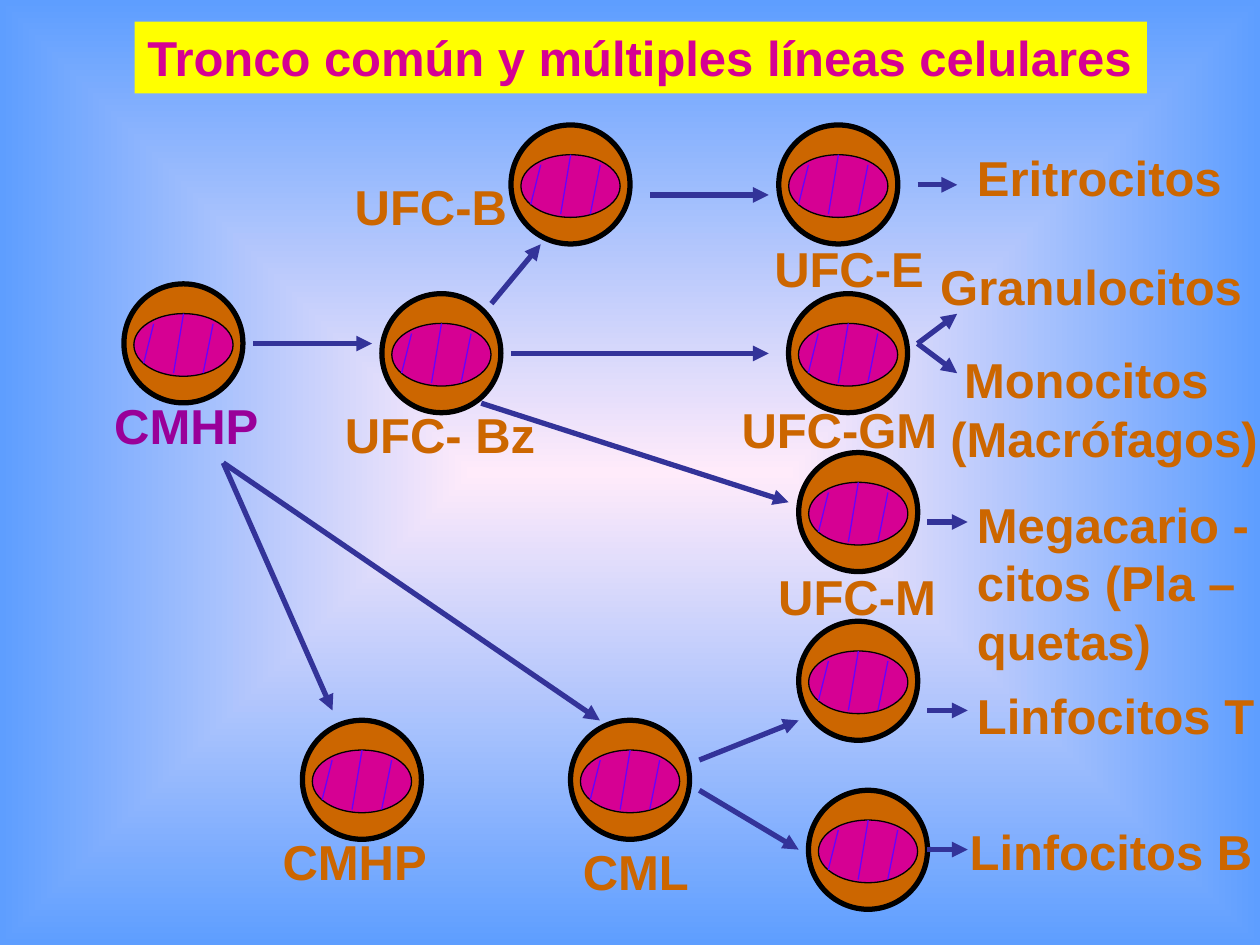
from dataclasses import dataclass

from lxml.etree import SubElement
from pptx import Presentation
from pptx.dml.color import RGBColor
from pptx.enum.shapes import MSO_CONNECTOR, MSO_SHAPE
from pptx.enum.text import MSO_ANCHOR, MSO_AUTO_SIZE, PP_ALIGN
from pptx.oxml.ns import qn
from pptx.util import Pt


@dataclass(frozen=True)
class Theme:
    font: str = "Arial"
    text_size: float = 28
    heavy_line: float = 3
    thin_line: float = 0.75
    center: str = "FFEBFA"
    edge: str = "5E9EFF"
    orange: str = "CC6600"
    magenta: str = "D60093"
    purple: str = "990099"
    yellow: str = "FFFF00"
    black: str = "000000"
    stripe: str = "6600FF"
    arrow: str = "333399"


def color(value):
    return RGBColor.from_string(value)


def write_text(frame, text, *, font, size, fill, bold=True, first_indent=0,
               auto_size=MSO_AUTO_SIZE.SHAPE_TO_FIT_TEXT):
    """Fill a frame, one paragraph a line, indenting only the first line."""
    frame.word_wrap = False
    frame.vertical_anchor = MSO_ANCHOR.TOP
    frame.auto_size = auto_size
    frame.margin_left = frame.margin_right = Pt(7.2)
    frame.margin_top = frame.margin_bottom = Pt(3.6)
    for index, line in enumerate(text.split("\n")):
        para = frame.paragraphs[0] if index == 0 else frame.add_paragraph()
        para.alignment = PP_ALIGN.LEFT
        if index == 0 and first_indent:
            para._p.get_or_add_pPr().set("marL", str(Pt(first_indent)))
        span = para.add_run()
        span.text = line
        span.font.name = font
        span.font.size = Pt(size)
        span.font.bold = bold
        span.font.color.rgb = color(fill)


class SlideBuilder:
    CELL = 68
    NUCLEUS = (5.7, 17, 56.7, 35.8)
    # Stripes of the nucleus, measured from the corner of the cell
    STRIPES = [(17, 22.8, 11.3, 45.4), (51, 22.8, 45.3, 51), (34.1, 17, 28.4, 51)]

    def __init__(self, page, theme):
        self.page = page
        self.theme = theme

    def background(self):
        """Rectangular gradient running from the middle to the edges."""
        fill = self.page.background.fill
        fill.gradient()
        stops = zip(fill.gradient_stops, (self.theme.center, self.theme.edge), (0, 1))
        for stop, shade, position in stops:
            stop.color.rgb = color(shade)
            stop.position = position
        gradient = self.page.element.find(".//" + qn("a:gradFill"))
        gradient.remove(gradient.find(qn("a:lin")))
        shape = SubElement(gradient, qn("a:path"))
        shape.set("path", "rect")
        focus = SubElement(shape, qn("a:fillToRect"))
        for side in "ltrb":
            focus.set(side, "50000")

    def title(self, text, left, top, width, height):
        box = self.page.shapes.title
        box.left, box.top, box.width, box.height = map(Pt, (left, top, width, height))
        box.fill.solid()
        box.fill.fore_color.rgb = color(self.theme.yellow)
        write_text(box.text_frame, text, font=self.theme.font,
                   size=self.theme.text_size, fill=self.theme.magenta,
                   auto_size=MSO_AUTO_SIZE.NONE)

    def disc(self, left, top, width, height, fill, line_width):
        disc = self.page.shapes.add_shape(
            MSO_SHAPE.FLOWCHART_CONNECTOR, *map(Pt, (left, top, width, height)))
        disc.shadow.inherit = False
        disc.fill.solid()
        disc.fill.fore_color.rgb = color(fill)
        disc.line.color.rgb = color(self.theme.black)
        disc.line.width = Pt(line_width)

    def line(self, x1, y1, x2, y2, shade, width):
        line = self.page.shapes.add_connector(
            MSO_CONNECTOR.STRAIGHT, *map(Pt, (x1, y1, x2, y2)))
        line.line.color.rgb = color(shade)
        line.line.width = Pt(width)
        SubElement(line._element.spPr, qn("a:effectLst"))
        return line

    def arrow(self, *ends):
        line = self.line(*ends, self.theme.arrow, self.theme.heavy_line)
        head = SubElement(line.line._get_or_add_ln(), qn("a:tailEnd"))
        head.set("type", "triangle")

    def cell(self, left, top):
        theme = self.theme
        x, y, width, height = self.NUCLEUS
        self.disc(left, top, self.CELL, self.CELL, theme.orange, theme.heavy_line)
        self.disc(left + x, top + y, width, height, theme.magenta, theme.thin_line)
        for x1, y1, x2, y2 in self.STRIPES:
            self.line(left + x1, top + y1, left + x2, top + y2,
                      theme.stripe, theme.thin_line)

    def label(self, text, left, top, width, fill=None, first_indent=0):
        height = 7.2 + 33.6 * len(text.split("\n"))
        box = self.page.shapes.add_textbox(*map(Pt, (left, top, width, height)))
        write_text(box.text_frame, text, font=self.theme.font,
                   size=self.theme.text_size, fill=fill or self.theme.orange,
                   first_indent=first_indent)


CELLS = [
    (70.8, 162.2), (172.8, 411.6), (326, 411.6), (462, 451.6), (456.4, 355),
    (456.4, 258.6), (450.6, 167.8), (445, 71.4), (292, 71.4), (218.2, 167.8),
]

ARROWS = [
    (144.6, 196.3, 212.6, 196.3), (280.8, 173.5, 309, 139.6),
    (371.5, 111.4, 439.3, 111.4), (292, 202, 439.3, 202),
    (275, 230.4, 450.7, 287), (399.6, 434.3, 456.4, 411.7),
    (399.6, 451.6, 456.4, 485.5), (530, 406, 553, 406),
    (530, 485.5, 553, 485.5), (530, 298.3, 553, 298.3),
    (524.3, 196.3, 547, 179.3), (524.3, 196.3, 547, 213.3),
    (127.6, 264.5, 190, 406), (127.6, 264.5, 342.8, 411.7),
    (524.3, 105.6, 547, 105.6),
]

LABELS = [
    ("UFC- Bz", 190, 227.5, 125), ("UFC-B", 195.6, 97.2, 104),
    ("UFC-E", 435.4, 132.6, 102), ("UFC-GM", 416.7, 224.6, 128),
    ("UFC-M", 437.6, 320, 107), ("CML", 326, 477.2, 77),
    ("CMHP", 154.4, 471.6, 99), ("Eritrocitos", 551.2, 80.6, 157),
    ("Granulocitos", 530.2, 142.8, 190),
    ("Megacario -\ncitos (Pla –\nquetas)", 551.2, 278.8, 173),
    ("Linfocitos T", 551.2, 388, 176), ("Linfocitos B", 547, 465.8, 179),
]


def main():
    deck = Presentation()
    deck.slide_width, deck.slide_height = Pt(720), Pt(540)
    theme = Theme()
    builder = SlideBuilder(deck.slides.add_slide(deck.slide_layouts[5]), theme)
    builder.background()
    builder.title("Tronco común y múltiples líneas celulares", 77, 12.4, 578.4, 41)
    for corner in CELLS:
        builder.cell(*corner)
    for ends in ARROWS:
        builder.arrow(*ends)
    builder.label("CMHP", 58.2, 222.4, 99, fill=theme.purple)
    builder.label("Monocitos\n(Macrófagos)", 536, 196.4, 193, first_indent=7.8)
    for label in LABELS:
        builder.label(*label)
    deck.save("out.pptx")


if __name__ == "__main__":
    main()
